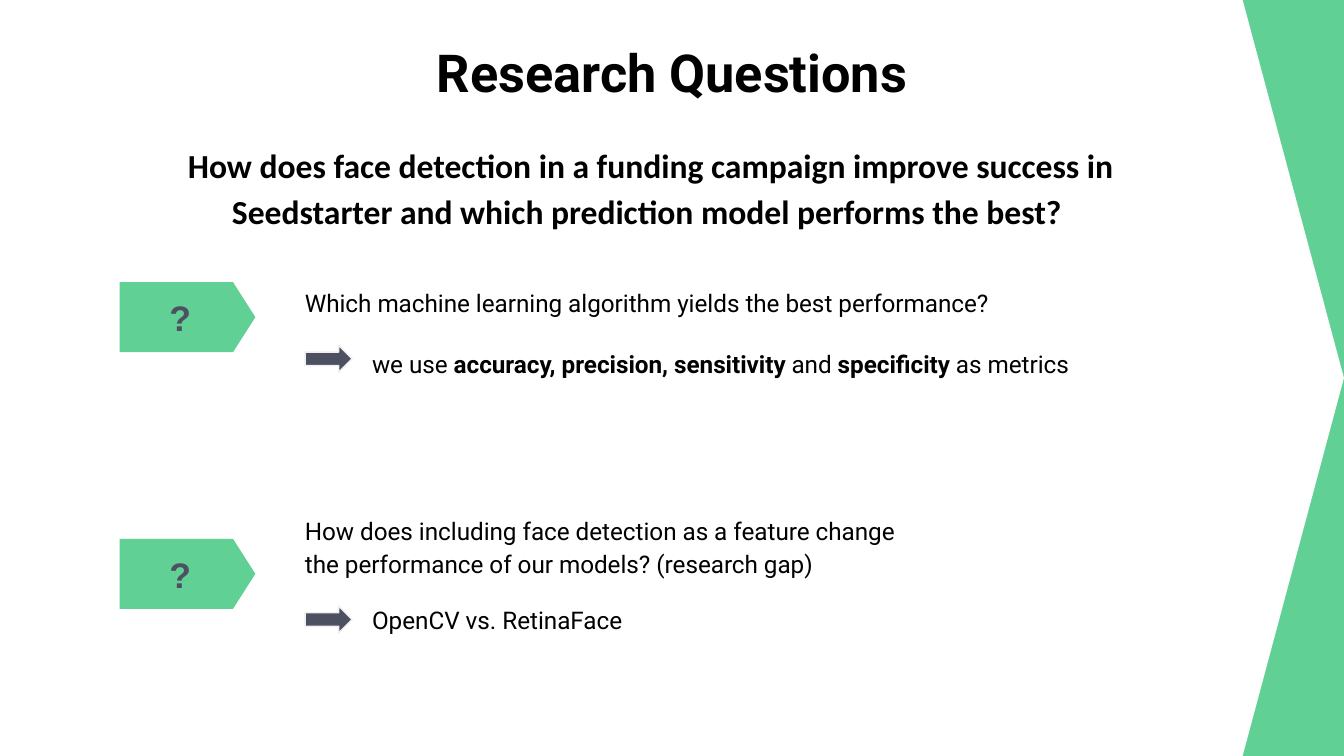
"""Build the Research Questions slide."""
import pptx
import pptx.dml.color
import pptx.enum.shapes
import pptx.enum.text
import pptx.util

SHAPE = pptx.enum.shapes.MSO_SHAPE
ANCHOR = pptx.enum.text.MSO_ANCHOR
ALIGN = pptx.enum.text.PP_ALIGN

TITLE = "Research Questions"
MAIN_QUESTION = ("How does face detection in a funding campaign improve success in "
                 "Seedstarter and which prediction model performs the best? ")
QUESTIONS = [
    {"question": "Which machine learning algorithm yields the best performance?",
     "answer": [("we use ", False), ("accuracy, precision, sensitivity", True),
                (" and ", False), ("specificity", True), (" as metrics", False)],
     "box": (20.1, 69.7, 8.8), "anchor": ANCHOR.TOP, "gap": 15, "tag": 21, "arrow": 25.7},
    {"question": "How does including face detection as a feature change "
                 "the performance of our models? (research gap)",
     "answer": [("OpenCV vs. RetinaFace", False)],
     "box": (38.4, 46.8, 8.5), "anchor": ANCHOR.MIDDLE, "gap": 12, "tag": 40.1, "arrow": 45.1},
]

THEME = {
    "green": "61D095", "slate": "4D5061", "white": "FFFFFF", "black": "000000", "edge": "EFEFEF",
    "title": ("Roboto", 28), "main": ("Calibri", 18), "body": ("Roboto", 13), "mark": ("Arial", 19),
}
COLS, ROWS = 100, 56.25
TAG_X, TEXT_X, ARROW_X = 8.9, 21.7, 22.7
INDENT, MARK_INSET, INSET = 5, 3.7, 1

prs = pptx.Presentation()
prs.slide_width = pptx.util.Inches(10)
prs.slide_height = int(prs.slide_width * ROWS / COLS)
s = prs.slides.add_slide(prs.slide_layouts[6])


def cells(n):
    return pptx.util.Emu(int(n * prs.slide_width / COLS))


def rgb(name):
    return pptx.dml.color.RGBColor.from_string(THEME[name])


def add_shape(kind, box, fill, adjust=(), line=None):
    sp = s.shapes.add_shape(kind, *map(cells, box))
    sp.shadow.inherit = False
    sp.fill.solid()
    sp.fill.fore_color.rgb = rgb(fill)
    for i, value in enumerate(adjust):
        sp.adjustments[i] = value
    if line:
        sp.line.color.rgb = rgb(line)
        sp.line.width = pptx.util.Pt(0.75)
    else:
        sp.line.fill.background()
    return sp


def set_frame(sp, anchor, left=INSET):
    tf = sp.text_frame
    tf.word_wrap = True
    tf.vertical_anchor = anchor
    tf.margin_left = cells(left)
    tf.margin_top = tf.margin_right = tf.margin_bottom = cells(INSET)
    return tf


def add_text(box, anchor=ANCHOR.TOP):
    return set_frame(s.shapes.add_textbox(*map(cells, box)), anchor)


def write(p, runs, style, color="black", align=ALIGN.LEFT, spacing=None, before=0, after=0):
    p.alignment = align
    p.line_spacing = spacing
    p.space_before = pptx.util.Pt(before)
    p.space_after = pptx.util.Pt(after)
    for text, bold in runs:
        r = p.add_run()
        r.text = text
        r.font.name, size = THEME[style]
        r.font.size = pptx.util.Pt(size)
        r.font.bold = bold
        r.font.color.rgb = rgb(color)


s.background.fill.solid()
s.background.fill.fore_color.rgb = rgb("green")
add_shape(SHAPE.PENTAGON, (0, 0, COLS, ROWS), "white", [0.134])

tf = add_text((7.8, 2, 84.4, 6.3))
write(tf.paragraphs[0], [(TITLE, True)], "title", align=ALIGN.CENTER)
tf = add_text((7.8, 9.3, 81.3, 8.5))
write(tf.paragraphs[0], [(MAIN_QUESTION, True)], "main", align=ALIGN.CENTER, spacing=1.15, after=12)

for q in QUESTIONS:
    sp = add_shape(SHAPE.PENTAGON, (TAG_X, q["tag"], 10.1, 5.2), "green", [0.319])
    tf = set_frame(sp, ANCHOR.MIDDLE, MARK_INSET)
    write(tf.paragraphs[0], [("?", True)], "mark", "slate")

    top, width, height = q["box"]
    tf = add_text((TEXT_X, top, width, height), q["anchor"])
    write(tf.paragraphs[0], [(q["question"], False)], "body", spacing=1.15)
    p = tf.add_paragraph()
    p._p.get_or_add_pPr().set("marL", str(cells(INDENT)))
    write(p, q["answer"], "body", spacing=1.15, before=q["gap"], after=q["gap"])

    add_shape(SHAPE.RIGHT_ARROW, (ARROW_X, q["arrow"], 3.5, 2), "slate", [0.5, 0.5], "edge")

prs.save("out.pptx")
